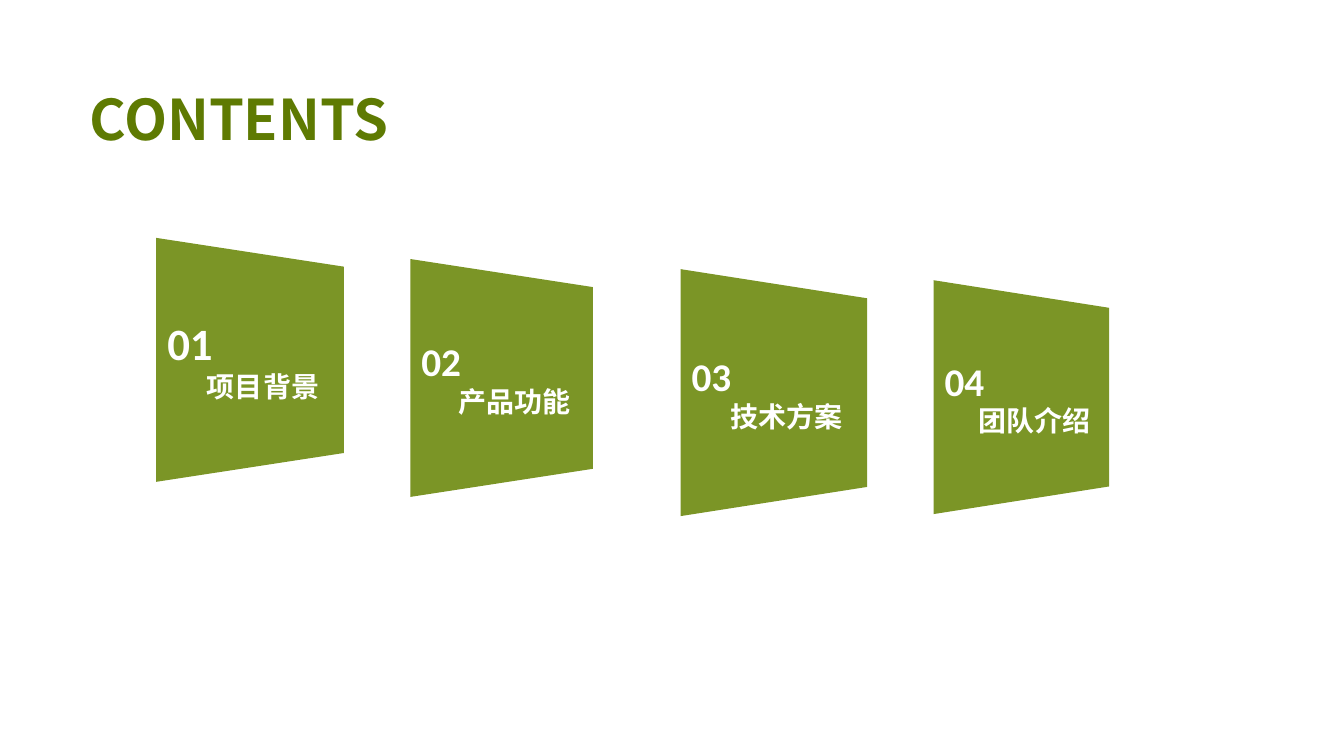
from dataclasses import dataclass

from lxml import etree
from pptx import Presentation
from pptx.dml.color import RGBColor
from pptx.enum.text import MSO_ANCHOR, PP_ALIGN
from pptx.oxml.ns import qn
from pptx.util import Inches, Pt

LEFT, CENTER = PP_ALIGN.LEFT, PP_ALIGN.CENTER
MIDDLE = MSO_ANCHOR.MIDDLE
TITLE_ONLY = 5


@dataclass(frozen=True)
class Theme:
    title_color: RGBColor = RGBColor(0x5E, 0x7A, 0x02)
    panel_color: RGBColor = RGBColor(0x7B, 0x95, 0x26)
    text_color: RGBColor = RGBColor(0xFF, 0xFF, 0xFF)
    latin_font: str = "Calibri"
    cjk_font: str = "Noto Sans CJK SC"
    title_size: int = 40
    label_size: int = 20


THEME = Theme()
EDGE_DROP = 0.118     # drop of the slanted edges, as a share of panel height
LABEL_INDENT = 0.15   # moves the centred label toward the short side

# number, label, number size, left, top, width, height
PANELS = [
    ("01", "项目背景", 32, 1.55, 2.36, 1.86, 2.42),
    ("02", "产品功能", 28, 4.07, 2.57, 1.81, 2.36),
    ("03", "技术方案", 28, 6.75, 2.67, 1.85, 2.45),
    ("04", "团队介绍", 28, 9.26, 2.78, 1.74, 2.32),
]


def format_paragraph(p, size, color, font, align):
    p.alignment = align
    for r in p.runs:
        r.font.size = Pt(size)
        r.font.bold = True
        r.font.name = font
        r.font.color.rgb = color
        ea = etree.SubElement(r.font._element, qn("a:ea"))
        ea.set("typeface", THEME.cjk_font)


def set_margins(tf, left, top, right, bottom):
    tf.margin_left, tf.margin_top = Inches(left), Inches(top)
    tf.margin_right, tf.margin_bottom = Inches(right), Inches(bottom)


def add_title(s, text):
    sp = s.shapes.title
    sp.left, sp.top = Inches(0.66), Inches(0.8)
    sp.width, sp.height = Inches(3.42), Inches(0.75)
    tf = sp.text_frame
    tf.text = text
    tf.vertical_anchor = MIDDLE
    set_margins(tf, 0.07, 0.04, 0.07, 0.04)
    format_paragraph(tf.paragraphs[0], THEME.title_size, THEME.title_color,
                     THEME.cjk_font, CENTER)


def add_panel(s, number, label, number_size, left, top, width, height):
    # Outline with a tall left side and a short right side
    right, bottom, drop = left + width, top + height, height * EDGE_DROP
    builder = s.shapes.build_freeform(Inches(left), Inches(top))
    builder.add_line_segments([
        (Inches(right), Inches(top + drop)),
        (Inches(right), Inches(bottom - drop)),
        (Inches(left), Inches(bottom)),
    ], close=True)
    sp = builder.convert_to_shape()
    sp.shadow.inherit = False
    sp.fill.solid()
    sp.fill.fore_color.rgb = THEME.panel_color
    sp.line.fill.background()

    # Number above its label
    tf = sp.text_frame
    tf.word_wrap = True
    tf.vertical_anchor = MIDDLE
    set_margins(tf, 0.11, 0.05, 0, 0.05)
    p = tf.paragraphs[0]
    p.text = number
    format_paragraph(p, number_size, THEME.text_color, THEME.latin_font, LEFT)
    p = tf.add_paragraph()
    p.text = label
    format_paragraph(p, THEME.label_size, THEME.text_color, THEME.latin_font, CENTER)
    p._p.get_or_add_pPr().set("marL", str(Inches(LABEL_INDENT)))


def main():
    prs = Presentation()
    prs.slide_width, prs.slide_height = Inches(13.33), Inches(7.5)
    s = prs.slides.add_slide(prs.slide_layouts[TITLE_ONLY])
    add_title(s, "CONTENTS")
    for panel in PANELS:
        add_panel(s, *panel)
    prs.save("out.pptx")


if __name__ == "__main__":
    main()
